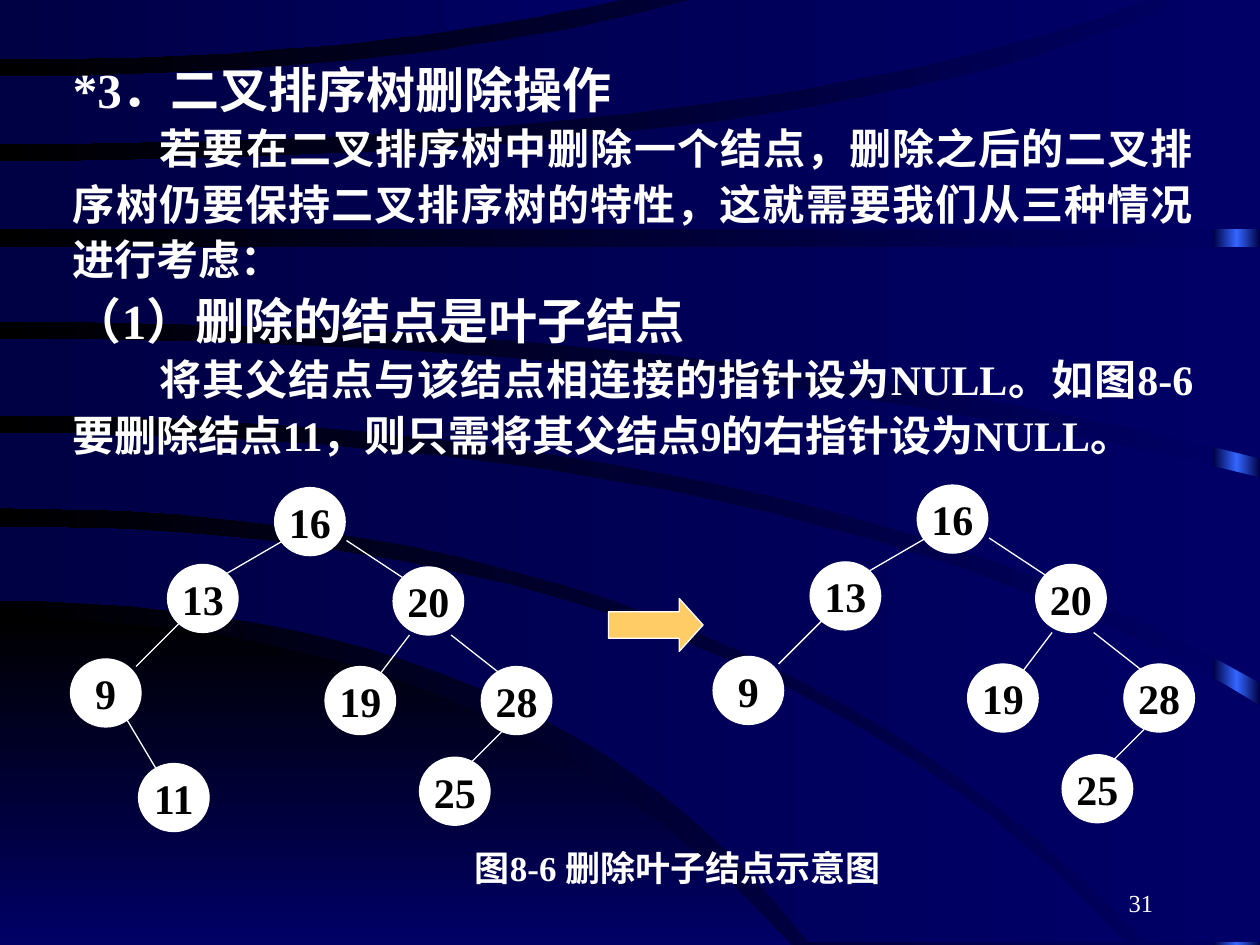
from copy import deepcopy

from lxml.etree import SubElement
from pptx import Presentation
from pptx.dml.color import RGBColor
from pptx.enum.shapes import MSO_CONNECTOR, MSO_SHAPE
from pptx.enum.text import MSO_ANCHOR, PP_ALIGN
from pptx.oxml.ns import qn
from pptx.util import Inches, Pt

# The slide is a grid of 1000 columns by 750 rows of square cells
COLS, ROWS = 1000, 750
CELL = Inches(10) // COLS

COLORS = {"navy": "000066", "deep": "000044", "black": "000000",
          "blue": "3366FF", "white": "FFFFFF", "gold": "FFCC66"}
LATIN, CJK = "Times New Roman", "Noto Sans CJK SC"

# Backdrop curves leave the left side level: (start row, bend column, end)
# Each band is an upper curve, a lower curve and any corners between their ends
HILL = ((491, 397, (628, ROWS)), (ROWS, 314, (628, ROWS)))
BANDS = [
    ((418, 593, (893, 748)), (477, 434, (642, 748))),
    ((344, 640, (COLS, 560)), (403, 588, (909, 748)), (COLS, 748)),
    ((269, 554, (COLS, 379)), (330, 630, (COLS, 542))),
    ((196, 500, (COLS, 196)), (255, 570, (COLS, 364))),
    ((128, 678, (943, -2)), (182, 500, (COLS, 182)), (COLS, -2)),
    ((61, 334, (556, -2)), (114, 616, (917, -2))),
    ((-2, 250, (501, -2)), (47, 290, (501, -2))),
]
CURVE_STEPS = 24

# The tree before deletion: top left of each node, then links (parent, child)
NODE_WIDTH, NODE_HEIGHT = 56, 54
NODES = {16: (218, 387), 13: (133, 448), 20: (312, 450), 9: (56, 523),
         19: (258, 529), 28: (382, 529), 11: (110, 606), 25: (333, 601)}
LINKS = {(16, 13): (225, 429, 175, 458), (13, 9): (142, 495, 108, 529),
         (9, 11): (100, 570, 125, 612), (16, 20): (275, 429, 325, 462),
         (20, 19): (325, 504, 300, 537), (20, 28): (358, 504, 400, 537),
         (28, 25): (398, 581, 373, 606)}

BODY = [
    ("*3．二叉排序树删除操作", 28, 0, 1),
    ("若要在二叉排序树中删除一个结点，删除之后的二叉排序树仍要保持二叉排序树的特性，"
     "这就需要我们从三种情况进行考虑：", 24, 69, 1.1),
    ("（1）删除的结点是叶子结点", 28, 0, 1.1),
    ("将其父结点与该结点相连接的指针设为NULL。如图8-6要删除结点11，"
     "则只需将其父结点9的右指针设为NULL。", 24, 69, 1.1),
]


def color(name):
    return RGBColor.from_string(COLORS[name])


def cells(*counts):
    return [CELL * count for count in counts]


def fill_gradient(fill, start, end, angle=180):
    fill.gradient()
    fill.gradient_angle = angle
    for stop, name in zip(fill.gradient_stops, (start, end)):
        stop.color.rgb = color(name)


def style_paragraph(paragraph, size, ink="white", bold=True, align=PP_ALIGN.LEFT):
    paragraph.alignment = align
    font = paragraph.font
    font.size, font.bold, font.name = Pt(size), bold, LATIN
    font.color.rgb = color(ink)
    defaults = paragraph._p.pPr.find(qn("a:defRPr"))
    SubElement(defaults, qn("a:ea"), typeface=CJK)


def add_frame(slide, *place):
    frame = slide.shapes.add_textbox(*cells(*place)).text_frame
    frame.word_wrap = True
    return frame


def add_flat_shape(slide, preset, place, fill):
    shape = slide.shapes.add_shape(preset, *cells(*place))
    shape.shadow.inherit = False
    shape.fill.solid()
    shape.fill.fore_color.rgb = color(fill)
    shape.line.color.rgb = color("white")
    shape.line.width = Pt(0.75)
    return shape


def curve_points(start_row, bend, end):
    """Points of a quadratic curve that starts level at column 0."""
    points = []
    for step in range(CURVE_STEPS + 1):
        t = step / CURVE_STEPS
        column = 2 * t * (1 - t) * bend + t * t * end[0]
        row = start_row + t * t * (end[1] - start_row)
        points.append((round(column), round(row)))
    return points


def add_band(slide, band, *gradient):
    upper, lower, *corners = band
    outline = curve_points(*upper) + corners + curve_points(*lower)[::-1]
    builder = slide.shapes.build_freeform(*outline[0], scale=CELL)
    builder.add_line_segments(outline[1:], close=True)
    shape = builder.convert_to_shape()
    shape.shadow.inherit = False
    shape.line.fill.background()
    fill_gradient(shape.fill, *gradient)


def add_side_strip(slide):
    strip = add_flat_shape(slide, MSO_SHAPE.RECTANGLE, (963, 0, 37, ROWS), "deep")
    strip.line.fill.background()
    fill_gradient(strip.fill, "deep", "blue")
    # A third stop mirrors the first, so the glow sits in the middle
    first, middle = strip._element.spPr.iter(qn("a:gs"))
    last = deepcopy(first)
    middle.set("pos", "50000")
    last.set("pos", "100000")
    middle.addnext(last)


def add_node(slide, key, left, top):
    node = add_flat_shape(slide, MSO_SHAPE.OVAL,
                          (left, top, NODE_WIDTH, NODE_HEIGHT), "white")
    frame = node.text_frame
    frame.word_wrap = False
    frame.vertical_anchor = MSO_ANCHOR.MIDDLE
    frame.text = str(key)
    style_paragraph(frame.paragraphs[0], 24, "black", align=PP_ALIGN.CENTER)


def add_link(slide, *ends):
    link = slide.shapes.add_connector(MSO_CONNECTOR.STRAIGHT, *cells(*ends))
    link.line.color.rgb = color("white")
    link.line.width = Pt(0.75)
    SubElement(link._element.spPr, qn("a:effectLst"))


def add_tree(slide, dx=0, dy=0, deleted=None):
    for key, (left, top) in NODES.items():
        if key != deleted:
            add_node(slide, key, left + dx, top + dy)
    for pair, (x1, y1, x2, y2) in LINKS.items():
        if deleted not in pair:
            add_link(slide, x1 + dx, y1 + dy, x2 + dx, y2 + dy)


def add_body(slide):
    frame = add_frame(slide, 48, 42, 909, 328)
    for index, (text, size, indent, spacing) in enumerate(BODY):
        paragraph = frame.add_paragraph() if index else frame.paragraphs[0]
        paragraph.text = text
        paragraph.line_spacing = spacing
        style_paragraph(paragraph, size, align=PP_ALIGN.JUSTIFY)
        paragraph._p.pPr.set("indent", str(CELL * indent))


def main():
    deck = Presentation()
    deck.slide_width, deck.slide_height = cells(COLS, ROWS)
    slide = deck.slides.add_slide(deck.slide_layouts[6])

    # Backdrop
    fill_gradient(slide.background.fill, "navy", "black")
    add_side_strip(slide)
    add_band(slide, HILL, "black", "navy", 270)
    for band in BANDS:
        add_band(slide, band, "navy", "deep")

    # Explanation and figure caption
    add_body(slide)
    caption = add_frame(slide, 367, 667, 362, 44)
    caption.text = "图8-6 删除叶子结点示意图"
    style_paragraph(caption.paragraphs[0], 20)

    # Trees before and after deleting leaf 11
    add_tree(slide)
    add_tree(slide, dx=510, dy=-2, deleted=11)
    arrow = add_flat_shape(slide, MSO_SHAPE.RIGHT_ARROW, (483, 475, 75, 42), "gold")
    arrow.adjustments[1] = 0.45

    # Page number
    page = add_frame(slide, 717, 683, 208, 50)
    page.vertical_anchor = MSO_ANCHOR.BOTTOM
    page.text = "31"
    style_paragraph(page.paragraphs[0], 14, bold=False, align=PP_ALIGN.RIGHT)

    deck.save("out.pptx")


if __name__ == "__main__":
    main()
